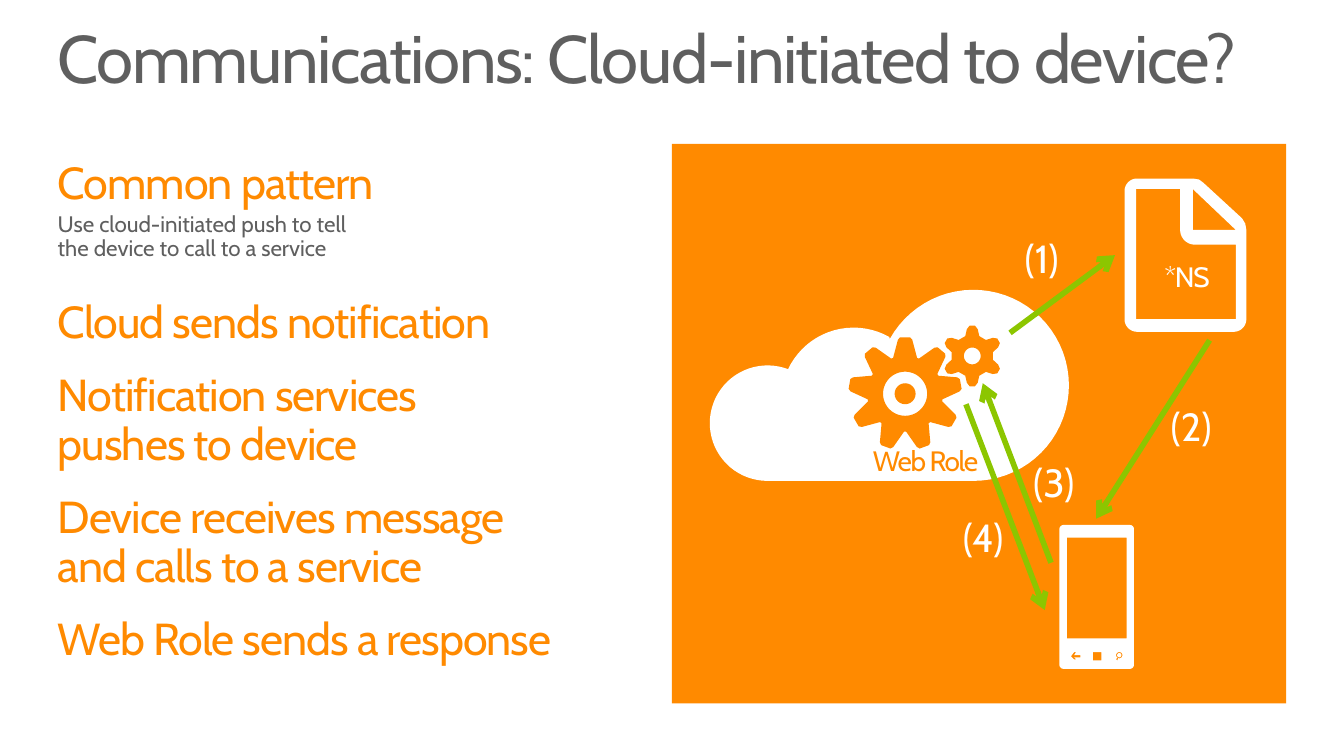
"""Build the slide on cloud-initiated communication with a device."""
from copy import deepcopy
from dataclasses import dataclass
from math import cos, radians, sin

from pptx import Presentation
from pptx import util as u
from pptx.dml.color import RGBColor
from pptx.enum import shapes, text
from pptx.oxml.ns import qn
from pptx.oxml.xmlchemy import OxmlElement

EMU_PER_PX = 9525
FONT = "Cabin"
ORANGE = RGBColor(0xFF, 0x8A, 0x00)
GREY = RGBColor(0x5F, 0x5F, 0x5F)
GREEN = RGBColor(0x8C, 0xC6, 0x00)
WHITE = RGBColor(0xFF, 0xFF, 0xFF)

Point = tuple[float, float]
Contour = list[Point]


@dataclass(frozen=True)
class Style:
    size: int
    color: RGBColor
    tracking: int = 0


@dataclass(frozen=True)
class Item:
    words: str
    style: Style
    level: int = 0
    before: int = 6
    after: int = 0


@dataclass(frozen=True)
class Label:
    words: str
    box: tuple[int, int, int, int]
    style: Style
    centered: bool = False


@dataclass(frozen=True)
class Arrow:
    start: tuple[int, int]
    end: tuple[int, int]


@dataclass(frozen=True)
class Gear:
    center: tuple[int, int]
    teeth: int
    tooth: tuple[tuple[int, float], ...]
    hole: int


TITLE = Style(48, GREY, -100)
HEADING = Style(32, ORANGE, -70)
CAPTION = Style(16, GREY)
STEP = Style(28, WHITE)

ITEMS = [
    Item("Common pattern", HEADING, before=0),
    Item("Use cloud-initiated push to tell \vthe device to call to a service", CAPTION, level=1, before=3),
    Item("Cloud sends notification", HEADING, before=27, after=12),
    Item("Notification services \vpushes to device", HEADING, after=12),
    Item("Device receives message\vand calls to a service", HEADING, after=12),
    Item("Web Role sends a response", HEADING, after=12),
]
LABELS = [
    Label("Web Role", (794, 426, 175, 29), Style(20, ORANGE, -100), True),
    Label("*NS", (1084, 251, 93, 29), Style(20, WHITE, -100), True),
    Label("(1)", (976, 223, 43, 45), STEP),
    Label("(2)", (1115, 383, 43, 45), STEP),
    Label("(3)", (984, 436, 43, 45), STEP),
    Label("(4)", (917, 489, 43, 45), STEP),
]
ARROWS = [
    Arrow((962, 317), (1062, 243)),
    Arrow((1152, 324), (1044, 494)),
    Arrow((920, 385), (995, 581)),
    Arrow((1001, 536), (936, 365)),
]
GEARS = [
    Gear((862, 375), 9, ((36, 18.5), (52, 7.5), (54, 5)), 21),
    Gear((926, 339), 6, ((20, 19.5), (26, 11.5), (29, 5)), 8),
]


def px(length: float) -> u.Emu:
    return u.Emu(round(length * EMU_PER_PX))


def polar(center: Point, radius: float, angle: float) -> Point:
    return center[0] + radius * cos(radians(angle)), center[1] + radius * sin(radians(angle))


def arc(center: Point, radius: float, start: float, end: float) -> Contour:
    steps = max(6, round(abs(end - start) / 5))
    return [polar(center, radius, start + (end - start) * i / steps) for i in range(steps + 1)]


def circle(center: Point, radius: float) -> Contour:
    return arc(center, radius, 0, 360)


def rectangle(left: int, top: int, right: int, bottom: int) -> Contour:
    return [(left, top), (right, top), (right, bottom), (left, bottom)]


def rounded(left: int, top: int, right: int, bottom: int, radius: int) -> Contour:
    corners = rectangle(left + radius, top + radius, right - radius, bottom - radius)
    return [point for i, corner in enumerate(corners)
            for point in arc(corner, radius, 180 + 90 * i, 270 + 90 * i)]


def gear_contours(gear: Gear) -> list[Contour]:
    profile = [(r, -a) for r, a in gear.tooth] + list(reversed(gear.tooth))
    outline = [polar(gear.center, r, 360 * i / gear.teeth - 90 + a)
               for i in range(gear.teeth) for r, a in profile]
    return [outline, circle(gear.center, gear.hole)]


def paint(shape, color: RGBColor) -> None:
    shape.shadow.inherit = False
    shape.fill.solid()
    shape.fill.fore_color.rgb = color
    shape.line.fill.background()


def draw_outline(slide, contours: list[Contour], color: RGBColor) -> None:
    scaled = [[(px(x), px(y)) for x, y in contour] for contour in contours]
    builder = slide.shapes.build_freeform(*scaled[0][0])
    for i, contour in enumerate(scaled):
        if i:
            builder.move_to(*contour[0])
        builder.add_line_segments(contour[1:], close=True)
    paint(builder.convert_to_shape(), color)


def draw_preset(slide, kind, box: tuple[int, int, int, int], color: RGBColor) -> None:
    paint(slide.shapes.add_shape(kind, *map(px, box)), color)


def draw_arrow(slide, arrow: Arrow) -> None:
    connector = slide.shapes.add_connector(
        shapes.MSO_CONNECTOR.STRAIGHT, *map(px, arrow.start + arrow.end))
    connector.line.color.rgb = GREEN
    connector.line.width = u.Pt(4)
    tip = OxmlElement("a:tailEnd")
    tip.set("type", "arrow")
    connector.line._get_or_add_ln().append(tip)
    connector._element.spPr.append(OxmlElement("a:effectLst"))


def format_runs(paragraph, style: Style) -> None:
    for run in paragraph.runs:
        run.font.name = FONT
        run.font.size = u.Pt(style.size)
        run.font.color.rgb = style.color
        run._r.get_or_add_rPr().set("spc", str(style.tracking))
    for line_break in paragraph._p.findall(qn("a:br")):
        line_break.insert(0, deepcopy(paragraph.runs[0]._r.rPr))


def prepare_frame(shape, box: tuple[int, int, int, int], wrap: bool = True):
    shape.left, shape.top, shape.width, shape.height = map(px, box)
    frame = shape.text_frame
    frame.margin_left = frame.margin_right = frame.margin_top = frame.margin_bottom = 0
    frame.vertical_anchor = text.MSO_ANCHOR.TOP
    frame.auto_size = text.MSO_AUTO_SIZE.NONE
    frame.word_wrap = wrap
    return frame


def fill_title(shape) -> None:
    frame = prepare_frame(shape, (55, 24, 1170, 79))
    frame.text = "Communications: Cloud-initiated to device?"
    paragraph = frame.paragraphs[0]
    paragraph.alignment = text.PP_ALIGN.LEFT
    paragraph.line_spacing = 0.9
    format_runs(paragraph, TITLE)


def fill_body(shape) -> None:
    frame = prepare_frame(shape, (55, 153, 1170, 495))
    for i, item in enumerate(ITEMS):
        paragraph = frame.add_paragraph() if i else frame.paragraphs[0]
        paragraph.text = item.words
        paragraph.level = item.level
        properties = paragraph._p.get_or_add_pPr()
        properties.set("marL", "0")
        properties.set("indent", "0")
        properties.append(OxmlElement("a:buNone"))
        paragraph.line_spacing = 0.9
        paragraph.space_before = u.Pt(item.before)
        paragraph.space_after = u.Pt(item.after)
        format_runs(paragraph, item.style)


def draw_label(slide, label: Label) -> None:
    frame = prepare_frame(slide.shapes.add_textbox(*map(px, label.box)), label.box, label.centered)
    frame.text = label.words
    paragraph = frame.paragraphs[0]
    if label.centered:
        paragraph.alignment = text.PP_ALIGN.CENTER
        paragraph.line_spacing = 0.9
    format_runs(paragraph, label.style)


def draw_cloud(slide) -> None:
    left, middle, right = (arc((731, 403), 55, 90, 291), arc((813, 381), 69, 204.5, 299.5),
                           arc((927, 367), 91, 209, 450))
    draw_outline(slide, [left + middle + right], WHITE)


def draw_phone(slide) -> None:
    back = [(1029, 626), (1023, 626), (1025, 628), (1023, 628), (1020, 625),
            (1023, 621), (1025, 621), (1023, 624), (1029, 624)]
    handle = [(1064, 626), (1065, 627), (1064, 629), (1063, 628)]
    draw_outline(slide, [rounded(1009, 500, 1080, 637, 4), rectangle(1016, 512, 1073, 608), back,
                         rectangle(1041, 621, 1049, 629), circle((1066, 624), 3),
                         circle((1066, 624), 2), handle], WHITE)


def draw_document(slide) -> None:
    page = (arc((1083, 182), 12, 180, 270) + [(1136, 170), (1142, 171), (1146, 174), (1183, 208),
            (1186, 213), (1187, 219)] + arc((1175, 304), 12, 0, 90) + arc((1083, 304), 12, 90, 180))
    inside = ([(1082, 180), (1124, 180)] + arc((1138, 219), 14, 180, 90)
              + [(1177, 233), (1177, 304), (1082, 304)])
    fold = [(1136, 180), (1177, 219), (1136, 219)]
    draw_outline(slide, [page, inside, fold], WHITE)


def main() -> None:
    presentation = Presentation()
    presentation.slide_width, presentation.slide_height = px(1280), px(720)
    slide = presentation.slides.add_slide(presentation.slide_layouts[1])
    fill_title(slide.shapes.title)
    fill_body(slide.placeholders[1])
    draw_preset(slide, shapes.MSO_SHAPE.RECTANGLE, (640, 137, 585, 533), ORANGE)
    draw_cloud(slide)
    draw_phone(slide)
    for gear in GEARS:
        draw_outline(slide, gear_contours(gear), ORANGE)
    draw_preset(slide, shapes.MSO_SHAPE.OVAL, (852, 365, 20, 20), ORANGE)
    draw_document(slide)
    for arrow in ARROWS:
        draw_arrow(slide, arrow)
    for label in LABELS:
        draw_label(slide, label)
    presentation.save("out.pptx")


if __name__ == "__main__":
    main()
